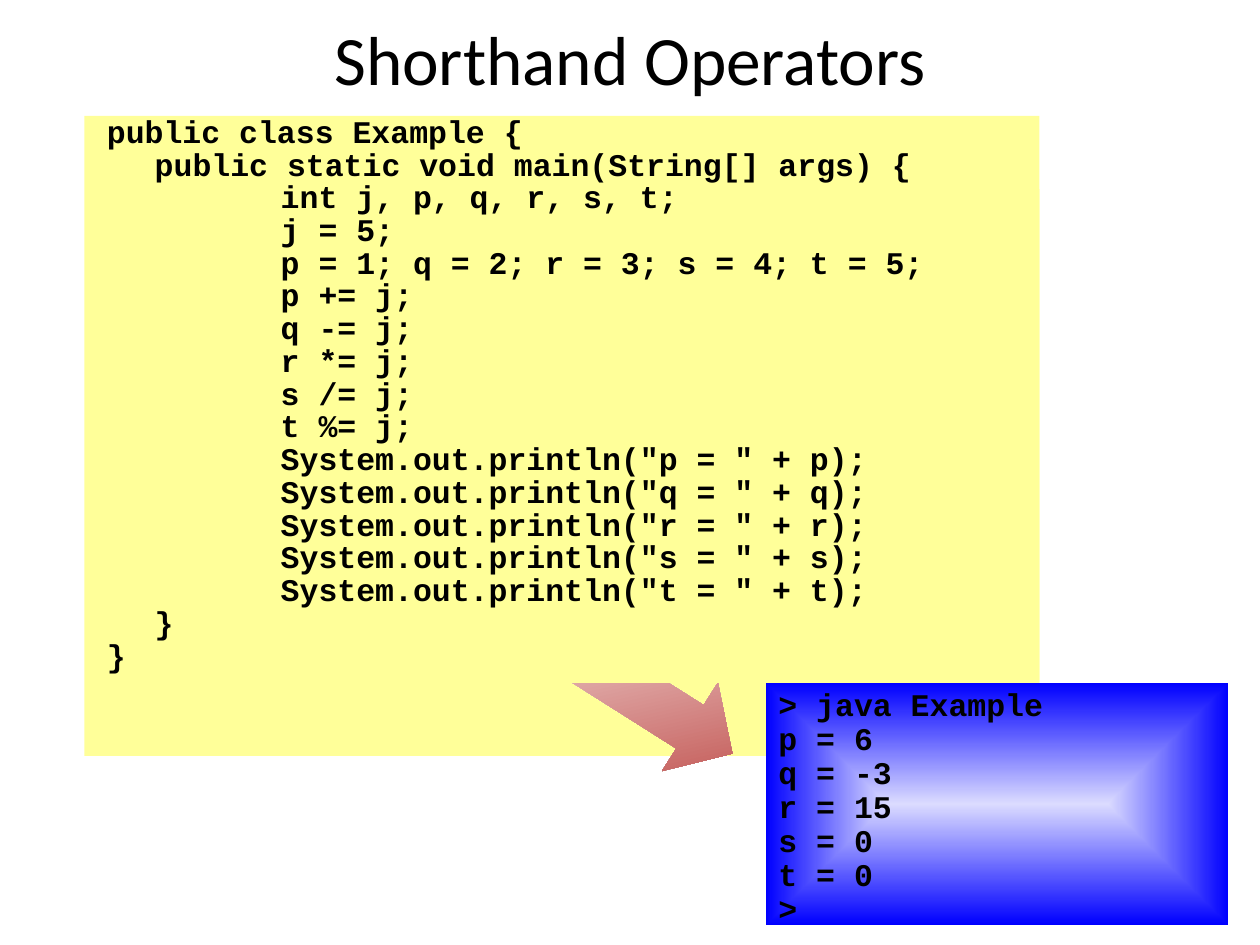
from lxml.etree import SubElement
from pptx import Presentation
from pptx.dml.color import RGBColor
from pptx.enum.shapes import MSO_SHAPE
from pptx.enum.text import MSO_ANCHOR, PP_ALIGN
from pptx.oxml.ns import qn
from pptx.util import Inches, Pt

BLACK = RGBColor(0, 0, 0)
WHITE = RGBColor(0xFF, 0xFF, 0xFF)
YELLOW = RGBColor(0xFF, 0xFF, 0x99)
RED = RGBColor(0xC0, 0x50, 0x4D)
PALE = RGBColor(0xDB, 0xDB, 0xFF)
BLUE = RGBColor(0, 0, 0xFF)

# Each code line has its depth of nesting.
CODE = [
    (0, "public class Example {"),
    (1, "public static void main(String[] args) {"),
    (2, "int j, p, q, r, s, t;"),
    (2, "j = 5;"),
    (2, "p = 1; q = 2; r = 3; s = 4; t = 5;"),
    *[(2, f"{name} {sign}= j;") for name, sign in zip("pqrst", "+-*/%")],
    *[(2, f'System.out.println("{name} = " + {name});') for name in "pqrst"],
    (1, "}"),
    (0, "}"),
]
INDENT = [0, 0.38, 1.38]
OUTPUT = ["> java Example", "p = 6", "q = -3", "r = 15", "s = 0", "t = 0", ">"]

deck = Presentation()
deck.slide_width, deck.slide_height = Inches(10), Inches(7.5)
slide = deck.slides.add_slide(deck.slide_layouts[6])


def add_plain(kind, *box):
    """Add a shape without line or shadow; box is in inches."""
    shape = slide.shapes.add_shape(kind, *map(Inches, box))
    shape.shadow.inherit = False
    shape.line.fill.background()
    return shape


def add_lines(frame, lines, spacing):
    """Write the lines as code, one paragraph each."""
    for i, line in enumerate(lines):
        para = frame.paragraphs[0] if i == 0 else frame.add_paragraph()
        para.text = line
        para.alignment = PP_ALIGN.LEFT
        para.line_spacing = spacing
        para.font.name, para.font.size = "Courier New", Pt(18)
        para.font.bold = True
        para.font.color.rgb = BLACK


# Code panel; its upper part hides the tail of the arrow
panel = add_plain(MSO_SHAPE.RECTANGLE, 0.67, 0.92, 7.58, 5.08)
arrow = add_plain(MSO_SHAPE.RIGHT_ARROW, 3.58, 4.92, 2.42, 0.83)
cover = add_plain(MSO_SHAPE.RECTANGLE, 1.58, 1.5, 6.67, 3.92)
for shape in (panel, cover):
    shape.fill.solid()
    shape.fill.fore_color.rgb = YELLOW
arrow.rotation = 32.3
arrow.adjustments[0], arrow.adjustments[1] = 0.49, 0.48

# Output window
window = add_plain(MSO_SHAPE.RECTANGLE, 6.08, 5.42, 3.67, 1.92)
window.text_frame.word_wrap = False
window.text_frame.vertical_anchor = MSO_ANCHOR.TOP
add_lines(window.text_frame, OUTPUT, 0.9)

# Gradients: a slanted one on the arrow, one from the centre on the window
for shape, colors in ((arrow, (WHITE, RED)), (window, (PALE, BLUE))):
    shape.fill.gradient()
    for stop, color in zip(shape.fill.gradient_stops, colors):
        stop.color.rgb = color
arrow.fill.gradient_angle = 315
grad = window._element.spPr.find(qn("a:gradFill"))
grad.remove(grad.find(qn("a:lin")))
route = SubElement(grad, qn("a:path"), {"path": "rect"})
SubElement(route, qn("a:fillToRect"), dict.fromkeys("ltrb", "50000"))

# Title
title = slide.shapes.add_textbox(*map(Inches, (0.75, 0.17, 8.5, 0.58))).text_frame
title.word_wrap = True
title.vertical_anchor = MSO_ANCHOR.MIDDLE
head = title.paragraphs[0]
head.text = "Shorthand Operators"
head.alignment = PP_ALIGN.CENTER
head.font.name, head.font.size = "Calibri", Pt(39.6)
head.font.color.rgb = BLACK

# Code
code = slide.shapes.add_textbox(*map(Inches, (0.75, 0.92, 7.67, 4.67))).text_frame
code.word_wrap = True
add_lines(code, [line for depth, line in CODE], 0.7)
for para, (depth, line) in zip(code.paragraphs, CODE):
    para.space_before = Pt(3.6)
    para._p.get_or_add_pPr().set("marL", str(Inches(INDENT[depth])))

deck.save("out.pptx")
